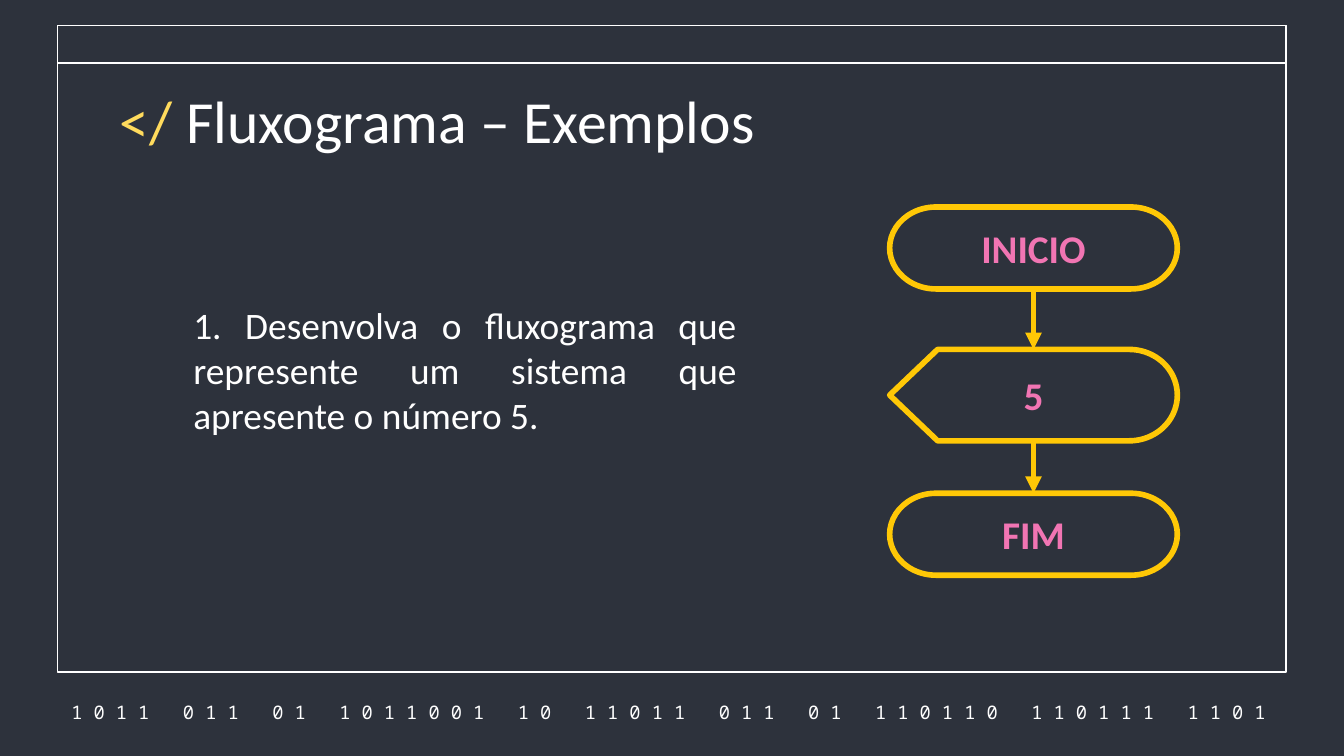
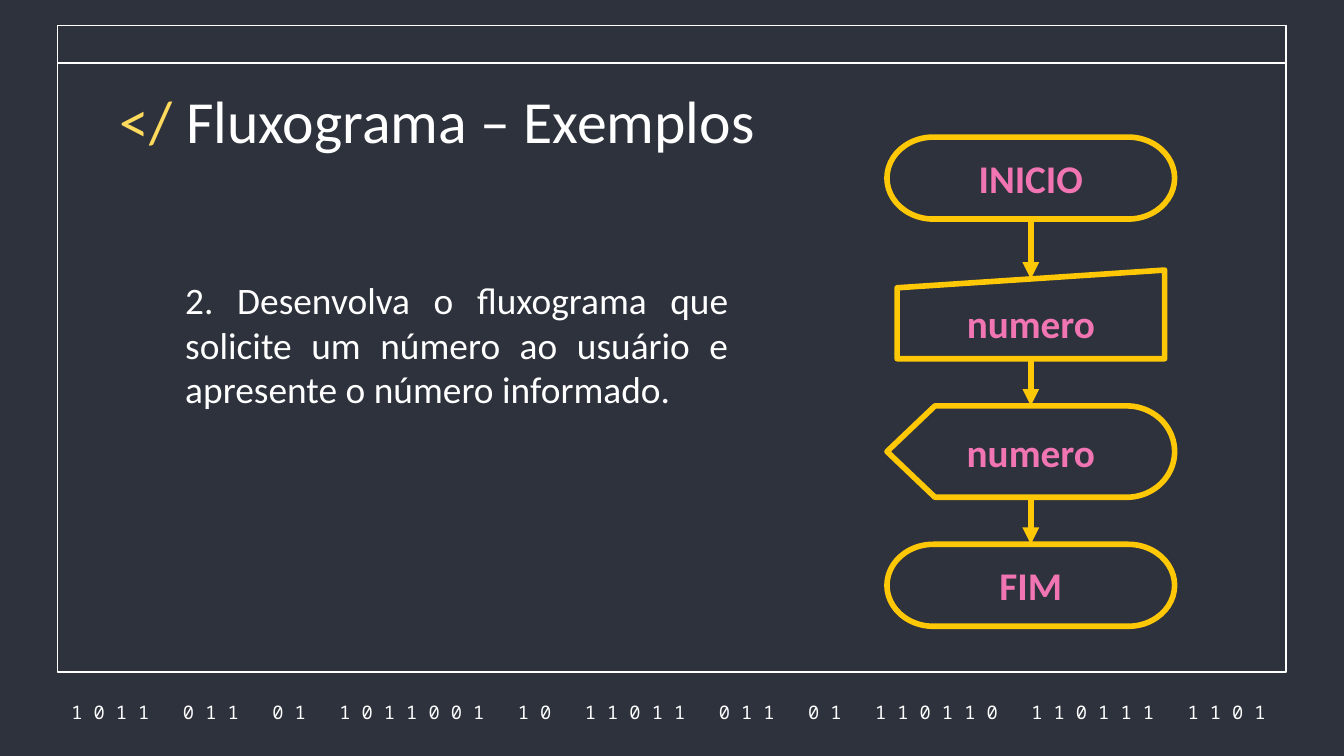
from dataclasses import dataclass

from lxml.etree import SubElement
from pptx import Presentation
from pptx.dml.color import RGBColor
from pptx.enum.shapes import MSO_CONNECTOR, MSO_SHAPE
from pptx.enum.text import MSO_ANCHOR, MSO_AUTO_SIZE, PP_ALIGN
from pptx.oxml.ns import qn
from pptx.util import Inches, Pt

COLUMNS, ROWS = 100, 56.25
TITLE_ONLY = 5
TOP, BOTTOM = 0, 2
BITS = "1011 011 01 1011001 10 11011 011 01 110110 110111 1101"


@dataclass(frozen=True)
class Theme:
    background: str = "2D323C"
    text: str = "FFFFFF"
    accent: str = "FFDB5D"
    flow_line: str = "FFC806"
    flow_text: str = "F175B3"
    font: str = "Calibri"
    mono: str = "Noto Sans Mono"
    title_size: float = 32
    body_size: float = 20
    flow_size: float = 21
    bits_size: float = 10
    frame_width: float = 0.75
    flow_width: float = 3


@dataclass(frozen=True)
class Symbol:
    preset: MSO_SHAPE
    columns: float
    rows: float
    entry: float = 0  # share of the height where an arrow meets the top


TERMINAL = Symbol(MSO_SHAPE.FLOWCHART_TERMINATOR, 21.4, 6.1)
DISPLAY = Symbol(MSO_SHAPE.FLOWCHART_DISPLAY, 21.4, 6.8)
MANUAL_INPUT = Symbol(MSO_SHAPE.FLOWCHART_MANUAL_INPUT, 19.9, 6.6, 0.1)


class Deck:
    def __init__(self, theme):
        self.theme = theme
        self.prs = Presentation()
        self.prs.slide_width, self.prs.slide_height = Inches(10), Inches(5.625)
        self.layout = self.prs.slide_layouts[TITLE_ONLY]
        self.slide = None
        fill = self.prs.slide_master.background.fill
        fill.solid()
        fill.fore_color.rgb = RGBColor.from_string(theme.background)

    def area(self, left, top, columns, rows):
        """Turn grid columns and rows into lengths."""
        column = self.prs.slide_width / COLUMNS
        row = self.prs.slide_height / ROWS
        return [round(n) for n in (left * column, top * row, columns * column, rows * row)]

    def run(self, paragraph, text, size, color, font=None, bold=False):
        run = paragraph.add_run()
        run.text = text
        run.font.size = Pt(size)
        run.font.name = font or self.theme.font
        run.font.bold = bold
        run.font.color.rgb = RGBColor.from_string(color)
        return run

    def outline(self, target, color, width):
        target.line.color.rgb = RGBColor.from_string(color)
        target.line.width = Pt(width)

    def prepare(self, frame, anchor=MSO_ANCHOR.TOP):
        """Set even insets and wrapping, and return the first paragraph."""
        frame.word_wrap = True
        frame.auto_size = MSO_AUTO_SIZE.NONE
        frame.vertical_anchor = anchor
        frame.margin_left = frame.margin_right = Inches(0.1)
        frame.margin_top = frame.margin_bottom = Inches(0.1)
        return frame.paragraphs[0]

    def panel(self, *grid):
        panel = self.slide.shapes.add_shape(MSO_SHAPE.RECTANGLE, *self.area(*grid))
        panel.shadow.inherit = False
        panel.fill.solid()
        panel.fill.fore_color.rgb = RGBColor.from_string(self.theme.background)
        self.outline(panel, self.theme.text, self.theme.frame_width)
        return panel

    def bit_strip(self):
        strip = self.slide.shapes.add_textbox(*self.area(3.8, 52, 92.7, 2))
        paragraph = self.prepare(strip.text_frame, MSO_ANCHOR.MIDDLE)
        strip.text_frame.margin_right = Inches(0.18)
        paragraph.alignment = PP_ALIGN.CENTER
        style = (self.theme.bits_size, self.theme.text, self.theme.mono)
        for index, group in enumerate(BITS.split()):
            if index:
                gap = self.run(paragraph, " ", *style)
                gap.font._element.set("spc", "1200")
            self.run(paragraph, " ".join(group), *style)
        return strip

    def decorate_layout(self):
        """Move the frame and bit strip to the layout that all slides share."""
        for placeholder in list(self.layout.placeholders)[1:]:
            self.layout.shapes.element.remove(placeholder.element)
        parts = (self.panel(4.3, 1.9, 91.4, 48.1),
                 self.panel(4.3, 1.9, 91.4, 2.8),
                 self.bit_strip())
        for part in parts:
            self.layout.shapes.element.append(part.element)

    def new_slide(self, title):
        first = self.slide is None
        self.slide = self.prs.slides.add_slide(self.layout)
        if first:
            self.decorate_layout()
        heading = self.slide.shapes.title
        heading.left, heading.top, heading.width, heading.height = self.area(7.9, 5.2, 84.3, 6.1)
        paragraph = self.prepare(heading.text_frame)
        paragraph.alignment = PP_ALIGN.LEFT
        self.run(paragraph, "</ ", self.theme.title_size, self.theme.accent)
        self.run(paragraph, title, self.theme.title_size, self.theme.text)

    def exercise(self, text, left, top):
        box = self.slide.shapes.add_textbox(*self.area(left, top, 44.1, 11.8))
        paragraph = self.prepare(box.text_frame)
        paragraph.alignment = PP_ALIGN.JUSTIFY
        properties = paragraph._p.get_or_add_pPr()
        properties.set("marL", str(Inches(0.17)))
        properties.set("indent", "0")
        self.run(paragraph, text, self.theme.body_size, self.theme.text)

    def step(self, symbol, label, center, top):
        grid = self.area(center - symbol.columns / 2, top, symbol.columns, symbol.rows)
        step = self.slide.shapes.add_shape(symbol.preset, *grid)
        step.shadow.inherit = False
        step.fill.background()
        self.outline(step, self.theme.flow_line, self.theme.flow_width)
        step.text_frame.vertical_anchor = MSO_ANCHOR.MIDDLE
        paragraph = step.text_frame.paragraphs[0]
        paragraph.alignment = PP_ALIGN.CENTER
        self.run(paragraph, label, self.theme.flow_size, self.theme.flow_text, bold=True)
        return step

    def arrow(self, source, target, entry):
        arrow = self.slide.shapes.add_connector(MSO_CONNECTOR.STRAIGHT, 0, 0, 0, 0)
        arrow.begin_connect(source, BOTTOM)
        arrow.end_connect(target, TOP)
        arrow.end_x = arrow.begin_x
        arrow.end_y = target.top + round(target.height * entry)
        self.outline(arrow, self.theme.flow_line, self.theme.flow_width)
        properties = arrow.element.spPr
        SubElement(properties.find(qn("a:ln")), qn("a:tailEnd"), type="triangle")
        SubElement(properties, qn("a:effectLst"))

    def flowchart(self, center, steps):
        """Stack (symbol, label, top) steps on one axis and link them in order."""
        previous = None
        for symbol, label, top in steps:
            current = self.step(symbol, label, center, top)
            if previous is not None:
                self.arrow(previous, current, symbol.entry)
            previous = current


def main():
    deck = Deck(Theme())

    deck.new_slide("Fluxograma – Exemplos")
    deck.flowchart(76.9, [
        (TERMINAL, "INICIO", 15.4),
        (DISPLAY, "5", 26),
        (TERMINAL, "FIM", 36.7),
    ])
    deck.exercise("1. Desenvolva o fluxograma que represente um sistema "
                  "que apresente o número 5.", 11.7, 21.5)

    deck.new_slide("Fluxograma – Exemplos")
    deck.exercise("2. Desenvolva o fluxograma que solicite um número ao usuário "
                  "e apresente o número informado.", 11.1, 19.6)
    deck.flowchart(76.7, [
        (TERMINAL, "INICIO", 10.2),
        (MANUAL_INPUT, "numero", 20.1),
        (DISPLAY, "numero", 30.2),
        (TERMINAL, "FIM", 40.5),
    ])

    deck.prs.save("out.pptx")


if __name__ == "__main__":
    main()
